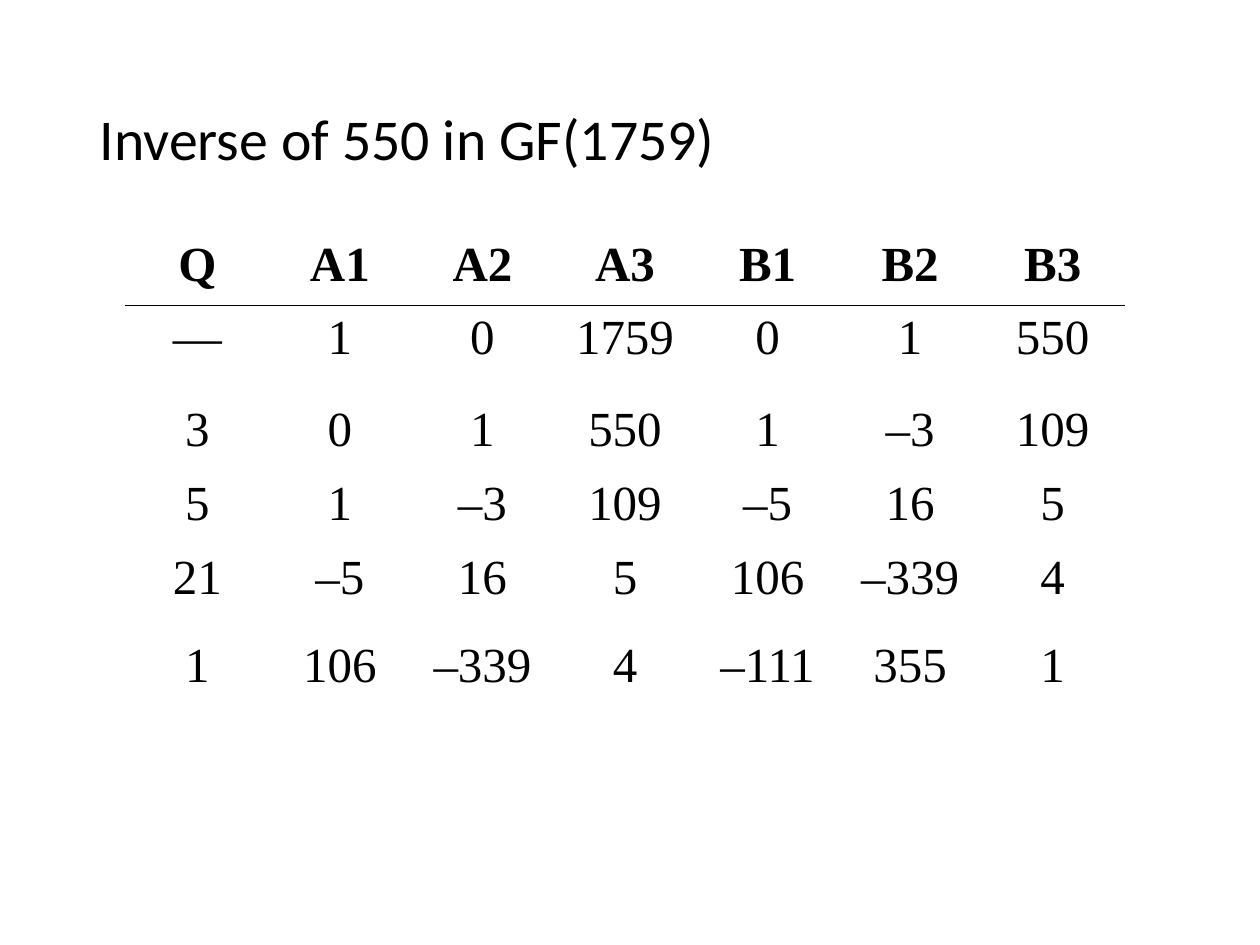
from dataclasses import dataclass

from lxml.etree import fromstring
from pptx import Presentation
from pptx.dml.color import RGBColor
from pptx.enum.text import MSO_ANCHOR, MSO_AUTO_SIZE, PP_ALIGN
from pptx.oxml.ns import nsdecls
from pptx.util import Emu, Inches, Pt

PX_PER_INCH = 126
BLACK = RGBColor(0, 0, 0)
RULE_WIDTH = Pt(0.45)


def px(length: float) -> Emu:
    return Inches(length / PX_PER_INCH)


@dataclass(frozen=True)
class Frame:
    left: int
    top: int
    width: int
    height: int

    def emu(self) -> tuple[Emu, ...]:
        return tuple(px(n) for n in (self.left, self.top, self.width, self.height))


@dataclass(frozen=True)
class Row:
    height: int
    values: str
    bold: bool = False
    rule: str = ""  # side of the row that carries the header rule


TITLE_FRAME = Frame(87, 50, 1087, 183)
TABLE_FRAME = Frame(126, 231, 998, 534)
ROWS = [
    Row(74, "Q A1 A2 A3 B1 B2 B3", bold=True, rule="lnB"),
    Row(92, "— 1 0 1759 0 1 550", rule="lnT"),
    Row(74, "3 0 1 550 1 –3 109"),
    Row(74, "5 1 –3 109 –5 16 5"),
    Row(88, "21 –5 16 5 106 –339 4"),
    Row(132, "1 106 –339 4 –111 355 1"),
]


def add_rule(cell, side: str) -> None:
    line = fromstring(
        f'<a:{side} {nsdecls("a")} w="{RULE_WIDTH}"><a:solidFill>'
        f'<a:srgbClr val="{BLACK}"/></a:solidFill></a:{side}>'
    )
    cell._tc.get_or_add_tcPr().insert(0, line)


def fill_cell(cell, text: str, row: Row) -> None:
    cell.text = text
    cell.fill.background()
    para = cell.text_frame.paragraphs[0]
    para.alignment = PP_ALIGN.CENTER
    para.space_after = Pt(3)
    para.font.name = "Times New Roman"
    para.font.size = Pt(28)
    para.font.bold = row.bold
    para.font.color.rgb = BLACK
    if row.rule:
        add_rule(cell, row.rule)


def add_title(page, text: str) -> None:
    title = page.shapes.title
    title.left, title.top, title.width, title.height = TITLE_FRAME.emu()
    box = title.text_frame
    box.text = text
    box.auto_size = MSO_AUTO_SIZE.NONE
    box.vertical_anchor = MSO_ANCHOR.MIDDLE
    para = box.paragraphs[0]
    para.alignment = PP_ALIGN.LEFT
    para.line_spacing = 0.9
    para.font.name = "Calibri"
    para.font.size = Pt(33)
    para.font.color.rgb = BLACK


def add_steps_table(page, rows: list[Row]) -> None:
    column_count = len(rows[0].values.split())
    table = page.shapes.add_table(len(rows), column_count, *TABLE_FRAME.emu()).table
    table.first_row = table.horz_banding = False
    for column in table.columns:
        column.width = px(TABLE_FRAME.width / column_count)
    for row_index, row in enumerate(rows):
        table.rows[row_index].height = px(row.height)
        for column_index, text in enumerate(row.values.split()):
            fill_cell(table.cell(row_index, column_index), text, row)


def main() -> None:
    deck = Presentation()
    deck.slide_width, deck.slide_height = px(1260), px(945)
    page = deck.slides.add_slide(deck.slide_layouts[5])  # title only

    # Heading
    add_title(page, "Inverse of 550 in GF(1759)")
    # Steps of the extended Euclidean algorithm
    add_steps_table(page, ROWS)

    deck.save("out.pptx")


if __name__ == "__main__":
    main()
